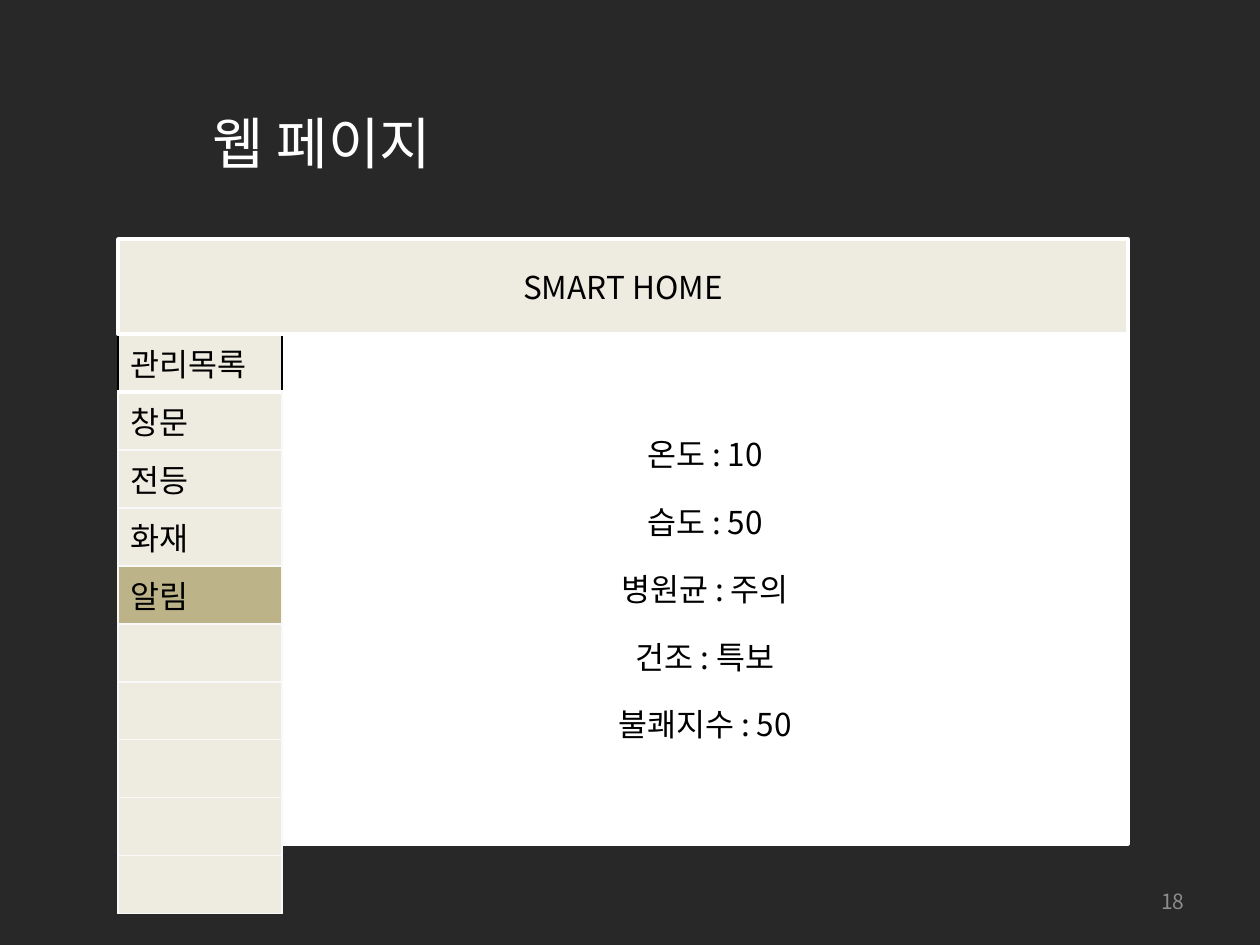
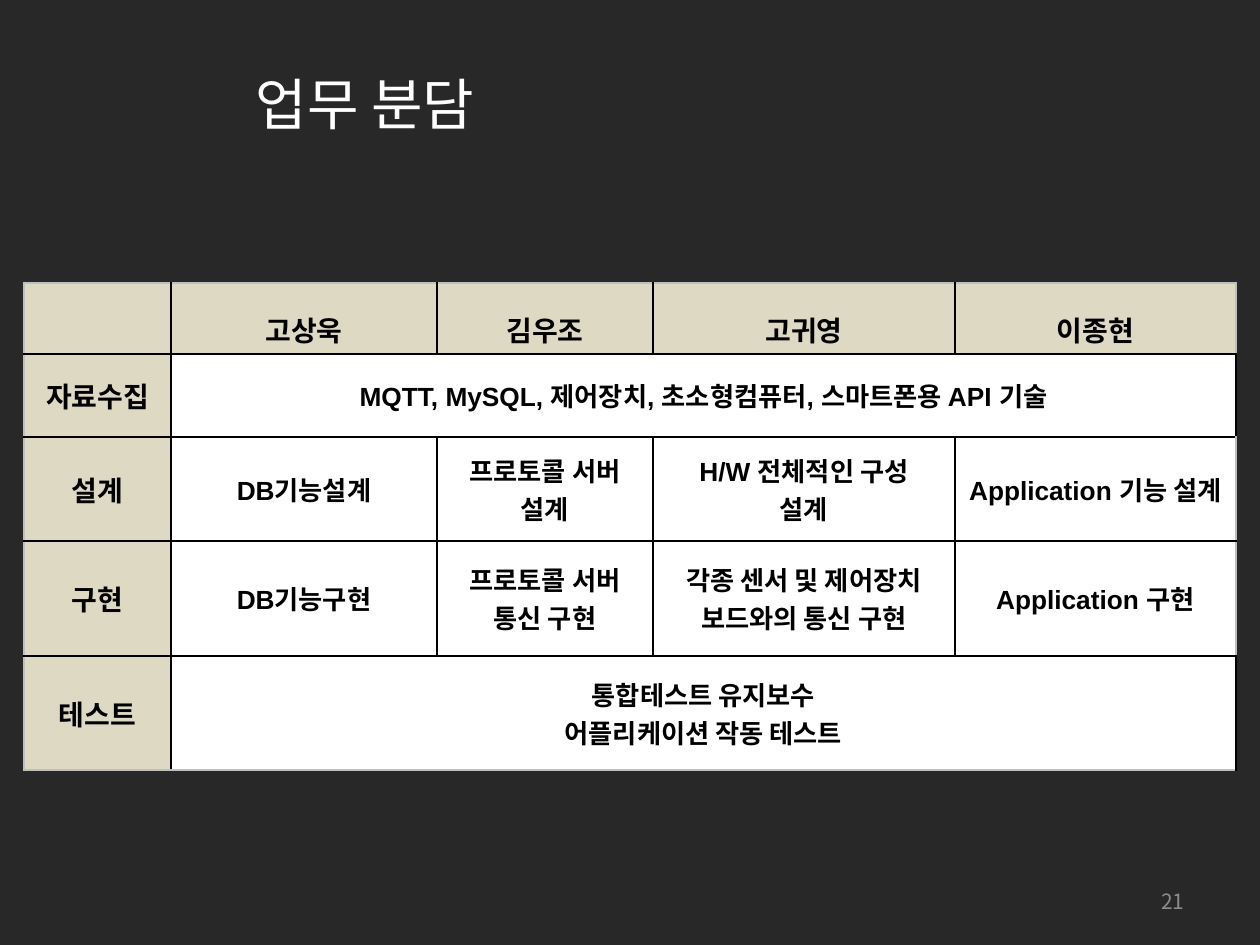
import pptx
import pptx.util
import pptx.dml.color
import pptx.enum.shapes
import pptx.enum.text
import pptx.oxml.ns
from lxml import etree

RGB = pptx.dml.color.RGBColor
ALIGN = pptx.enum.text.PP_ALIGN
MIDDLE = pptx.enum.text.MSO_ANCHOR.MIDDLE

BACKDROP = RGB(0x28, 0x28, 0x28)
WHITE = RGB(0xFF, 0xFF, 0xFF)
BLACK = RGB(0x00, 0x00, 0x00)
CREAM = RGB(0xEE, 0xEC, 0xE1)
SAND = RGB(0xDD, 0xD9, 0xC3)
KHAKI = RGB(0xBC, 0xB4, 0x88)
OFF_WHITE = RGB(0xF9, 0xF9, 0xF9)
FRAME = RGB(0xBF, 0xBF, 0xBF)
GREY = RGB(0x8C, 0x8C, 0x8C)

NOTO = "Noto Sans CJK KR"
ARIAL = "Arial"
PX_PER_INCH = 126
TITLE_ONLY = 5


def px(n):
    return pptx.util.Emu(round(n * 914400 / PX_PER_INCH))


class Deck:
    """Style and current slide, with a method for each kind of element."""

    def __init__(self):
        self.prs = pptx.Presentation()
        self.prs.slide_width, self.prs.slide_height = px(1260), px(945)
        fill = self.prs.slide_master.background.fill
        fill.solid()
        fill.fore_color.rgb = BACKDROP
        self.s = None

    def slide(self, title, left, top, width, number):
        self.s = self.prs.slides.add_slide(self.prs.slide_layouts[TITLE_ONLY])
        sp = self.s.shapes.title
        self.place(sp, left, top, width, 78)
        self.text(sp.text_frame, [title], 32, WHITE, ALIGN.LEFT)
        box = self.s.shapes.add_textbox(px(903), px(876), px(294), px(50))
        self.text(box.text_frame, [str(number)], 12, GREY, ALIGN.RIGHT)

    def place(self, sp, left, top, width, height):
        sp.left, sp.top, sp.width, sp.height = map(px, (left, top, width, height))

    def text(self, tf, lines, size, color=BLACK, align=ALIGN.CENTER,
             font=NOTO, bold=False, gap=0, spacing=None):
        tf.word_wrap = True
        tf.vertical_anchor = MIDDLE
        for i, line in enumerate(lines):
            p = tf.add_paragraph() if i else tf.paragraphs[0]
            p.text = line
            p.alignment = align
            if i and gap:
                p.space_before = pptx.util.Pt(gap)
            if spacing:
                p.line_spacing = spacing
            f = p.font
            f.size, f.bold, f.name = pptx.util.Pt(size), bold, font
            f.color.rgb = color
            latin = f._element.find(pptx.oxml.ns.qn("a:latin"))
            ea = etree.Element(pptx.oxml.ns.qn("a:ea"), typeface=NOTO)
            latin.addnext(ea)

    def panel(self, left, top, width, height, fill, lines, gap=0):
        kind = pptx.enum.shapes.MSO_SHAPE.RECTANGLE
        sp = self.s.shapes.add_shape(kind, *map(px, (left, top, width, height)))
        sp.shadow.inherit = False
        sp.fill.solid()
        sp.fill.fore_color.rgb = fill
        sp.line.color.rgb = WHITE
        sp.line.width = pptx.util.Pt(2)
        self.text(sp.text_frame, lines, 18, gap=gap)

    def table(self, left, top, cols, rows):
        frame = self.s.shapes.add_table(
            len(rows), len(cols), px(left), px(top), px(sum(cols)), px(sum(rows)))
        tbl = frame.table
        tbl.first_row = tbl.horz_banding = False
        for col, width in zip(tbl.columns, cols):
            col.width = px(width)
        for row, height in zip(tbl.rows, rows):
            row.height = px(height)
        return tbl

    def cell(self, cell, fill, borders):
        """Fill a cell and draw its borders, given as {side: (colour, points)}."""
        tc_pr = cell._tc.get_or_add_tcPr()
        for side in "LRTB":
            color, points = borders[side]
            ln = etree.SubElement(tc_pr, pptx.oxml.ns.qn("a:ln" + side),
                                  w=str(pptx.util.Pt(points)))
            solid = etree.SubElement(ln, pptx.oxml.ns.qn("a:solidFill"))
            etree.SubElement(solid, pptx.oxml.ns.qn("a:srgbClr"), val=str(color))
        cell.fill.solid()
        cell.fill.fore_color.rgb = fill


def web_page(deck):
    deck.slide("웹 페이지", 200, 103, 258, 18)

    # Readings
    readings = ["온도 : 10", "습도 : 50", "병원균 : 주의", "건조 : 특보", "불쾌지수 : 50"]
    deck.panel(282, 334, 846, 510, WHITE, readings, gap=17)

    # Menu
    menu = ["관리목록", "창문", "전등", "화재", "알림"]
    row_count, selected = 10, 4
    tbl = deck.table(118, 334, [164], [58] * row_count)
    for i in range(row_count):
        borders = dict.fromkeys("LRTB", (OFF_WHITE, 0.75))
        if i == 0:
            borders = dict.fromkeys("LRT", (BLACK, 0.75))
            borders["B"] = (WHITE, 3)
        elif i == 1:
            borders["T"] = (WHITE, 3)
        cell = tbl.cell(i, 0)
        deck.cell(cell, KHAKI if i == selected else CREAM, borders)
        if i < len(menu):
            deck.text(cell.text_frame, [menu[i]], 18, align=ALIGN.LEFT)

    # Page banner
    deck.panel(118, 239, 1010, 95, CREAM, ["SMART HOME"])


def division_of_work(deck):
    deck.slide("업무 분담", 243, 64, 268, 21)

    # A row with a single entry spans all members
    tasks = [
        ["", "고상욱", "김우조", "고귀영", "이종현"],
        ["자료수집", "MQTT, MySQL, 제어장치, 초소형컴퓨터, 스마트폰용 API 기술"],
        ["설계", "DB기능설계", "프로토콜 서버 설계", "H/W 전체적인 구성\v설계",
         "Application 기능 설계"],
        ["구현", "DB기능구현", "프로토콜 서버 통신 구현",
         "각종 센서 및 제어장치 보드와의 통신 구현", "Application 구현"],
        ["테스트", "통합테스트 유지보수\n어플리케이션 작동 테스트"],
    ]
    cols, rows = [147, 266, 216, 302, 281], [71, 83, 104, 115, 114]
    tbl = deck.table(24, 283, cols, rows)
    last_row, last_col = len(rows) - 1, len(cols) - 1
    inner, outer = (BLACK, 1), (FRAME, 1.5)
    for i, entries in enumerate(tasks):
        for j in range(len(cols)):
            heading = i == 0 or j == 0
            deck.cell(tbl.cell(i, j), SAND if heading else WHITE, {
                "L": inner if j else outer,
                "R": inner if j < last_col else outer,
                "T": inner if i else outer,
                "B": inner if i < last_row else outer})
        if len(entries) == 2:
            tbl.cell(i, 1).merge(tbl.cell(i, last_col))
        for j, entry in enumerate(entries):
            cell = tbl.cell(i, j)
            cell.vertical_anchor = MIDDLE
            if entry:
                deck.text(cell.text_frame, entry.split("\n"),
                          16 if i == 0 or j == 0 else 15, font=ARIAL, bold=True,
                          spacing=None if i else 1.5)


def main():
    deck = Deck()
    web_page(deck)
    division_of_work(deck)
    deck.prs.save("out.pptx")


if __name__ == "__main__":
    main()
